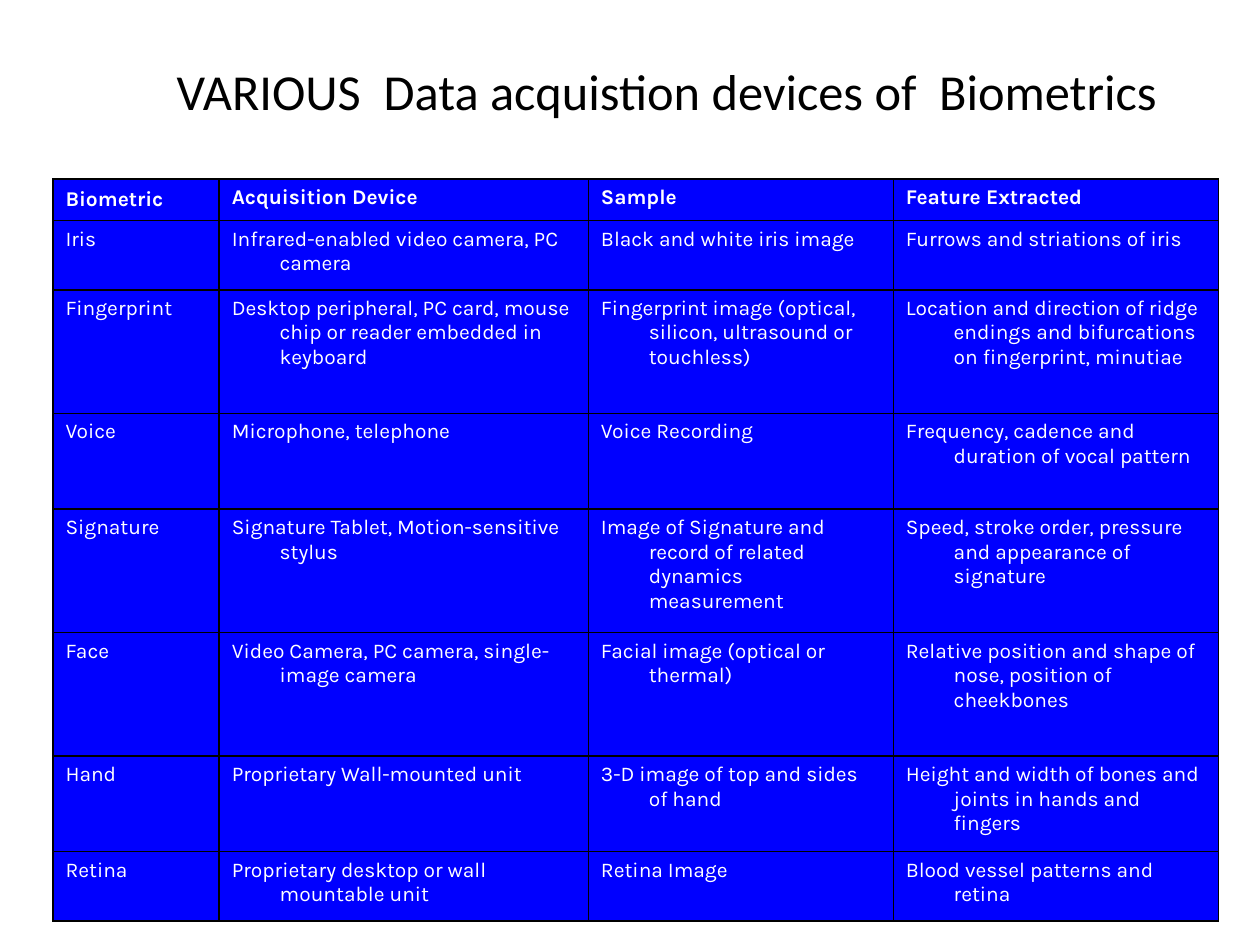
from lxml import etree
from pptx import Presentation
from pptx.dml.color import RGBColor
from pptx.enum.text import MSO_ANCHOR, PP_ALIGN
from pptx.oxml.ns import qn
from pptx.util import Inches, Pt

MIDDLE, TOP = MSO_ANCHOR.MIDDLE, MSO_ANCHOR.TOP
CENTER = PP_ALIGN.CENTER
TITLE_ONLY = 5

BLACK = RGBColor(0x00, 0x00, 0x00)
WHITE = RGBColor(0xFF, 0xFF, 0xFF)
BLUE = RGBColor(0x00, 0x00, 0xFF)

COLUMN_WIDTHS = [1.32, 2.93, 2.42, 2.58]
ROW_HEIGHTS = [0.33, 0.55, 0.98, 0.76, 0.98, 0.98, 0.76, 0.55]
HANGING_INDENT = Inches(0.38)

DEVICES = [
    ("Biometric", "Acquisition Device", "Sample", "Feature Extracted"),
    ("Iris", "Infrared-enabled video camera, PC camera",
     "Black and white iris image", "Furrows and striations of iris"),
    ("Fingerprint",
     "Desktop peripheral, PC card, mouse chip or reader embedded in keyboard",
     "Fingerprint image (optical, silicon, ultrasound or touchless)",
     "Location and direction of ridge endings and bifurcations on fingerprint, minutiae"),
    ("Voice", "Microphone, telephone", "Voice Recording",
     "Frequency, cadence and duration of vocal pattern"),
    ("Signature", "Signature Tablet, Motion-sensitive stylus",
     "Image of Signature and record of related dynamics measurement",
     "Speed, stroke order, pressure and appearance of signature"),
    ("Face", "Video Camera, PC camera, single-image camera",
     "Facial image (optical or thermal)",
     "Relative position and shape of nose, position of cheekbones"),
    ("Hand", "Proprietary Wall-mounted unit", "3-D image of top and sides of hand",
     "Height and width of bones and joints in hands and fingers"),
    ("Retina", "Proprietary desktop or wall mountable unit", "Retina Image",
     "Blood vessel patterns and retina"),
]


def set_font(para, name, size, color, bold=False):
    font = para.font
    font.name, font.size, font.bold = name, Pt(size), bold
    font.color.rgb = color


def add_title(page, text):
    title = page.shapes.title
    title.left, title.top = Inches(1.17), Inches(0.33)
    title.width, title.height = Inches(8.25), Inches(0.77)
    frame = title.text_frame
    frame.text = text
    frame.vertical_anchor = MIDDLE
    para = frame.paragraphs[0]
    para.alignment = CENTER
    set_font(para, "Calibri", 28.8, BLACK)


def set_borders(cell, color, width):
    """Draw all four edges; they must precede the fill in the cell properties."""
    properties = cell._tc.get_or_add_tcPr()
    for index, edge in enumerate(("a:lnL", "a:lnR", "a:lnT", "a:lnB")):
        line = etree.Element(qn(edge), w=str(Pt(width)))
        fill = etree.SubElement(line, qn("a:solidFill"))
        etree.SubElement(fill, qn("a:srgbClr"), val=str(color))
        properties.insert(index, line)


def format_cell(cell, text, bold, anchor):
    cell.text = text
    cell.vertical_anchor = anchor
    cell.fill.solid()
    cell.fill.fore_color.rgb = BLUE
    set_borders(cell, BLACK, 1)
    para = cell.text_frame.paragraphs[0]
    indents = para._p.get_or_add_pPr()
    indents.set("marL", str(HANGING_INDENT))
    indents.set("indent", str(-HANGING_INDENT))
    set_font(para, "Karla", 12, WHITE, bold)


def add_device_table(page):
    frame = page.shapes.add_table(
        len(ROW_HEIGHTS), len(COLUMN_WIDTHS), Inches(0.42), Inches(1.42),
        Inches(sum(COLUMN_WIDTHS)), Inches(sum(ROW_HEIGHTS)))
    table = frame.table
    table.horz_banding = False
    for column, width in zip(table.columns, COLUMN_WIDTHS):
        column.width = Inches(width)
    for row, height in zip(table.rows, ROW_HEIGHTS):
        row.height = Inches(height)
    for r, texts in enumerate(DEVICES):
        for c, text in enumerate(texts):
            anchor = MIDDLE if r == c == 0 else TOP
            format_cell(table.cell(r, c), text, r == 0, anchor)


def main():
    deck = Presentation()
    deck.slide_width, deck.slide_height = Inches(10), Inches(7.5)
    page = deck.slides.add_slide(deck.slide_layouts[TITLE_ONLY])
    add_title(page, "VARIOUS  Data acquistion devices of  Biometrics")
    add_device_table(page)
    deck.save("out.pptx")


if __name__ == "__main__":
    main()
